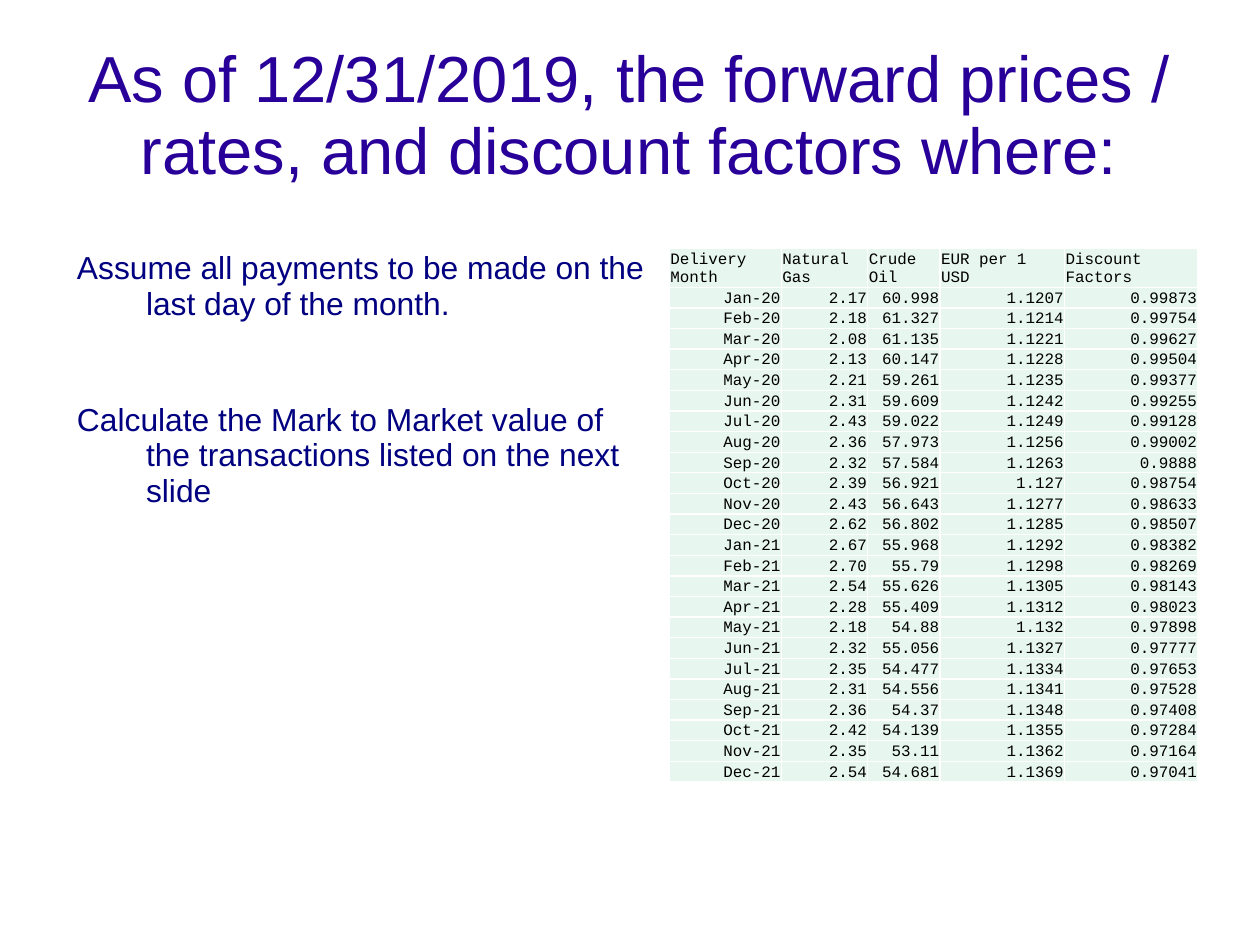
from dataclasses import dataclass

from lxml.etree import SubElement
from pptx import Presentation
from pptx.dml.color import RGBColor as Color
from pptx.enum.text import MSO_ANCHOR as Anchor, PP_ALIGN as Align
from pptx.oxml.ns import qn
from pptx.util import Pt

TITLE = "As of 12/31/2019, the forward prices / rates, and discount factors where:"
NOTES = [
    "Assume all payments to be made on the last day of the month.",
    "Calculate the Mark to Market value of the transactions listed on the next slide",
]
HEADINGS = ["Delivery Month", "Natural Gas", "Crude Oil", "EUR per 1 USD", "Discount Factors"]
FORWARDS = [
    ("Jan-20", "2.17", "60.998", "1.1207", "0.99873"),
    ("Feb-20", "2.18", "61.327", "1.1214", "0.99754"),
    ("Mar-20", "2.08", "61.135", "1.1221", "0.99627"),
    ("Apr-20", "2.13", "60.147", "1.1228", "0.99504"),
    ("May-20", "2.21", "59.261", "1.1235", "0.99377"),
    ("Jun-20", "2.31", "59.609", "1.1242", "0.99255"),
    ("Jul-20", "2.43", "59.022", "1.1249", "0.99128"),
    ("Aug-20", "2.36", "57.973", "1.1256", "0.99002"),
    ("Sep-20", "2.32", "57.584", "1.1263", "0.9888"),
    ("Oct-20", "2.39", "56.921", "1.127", "0.98754"),
    ("Nov-20", "2.43", "56.643", "1.1277", "0.98633"),
    ("Dec-20", "2.62", "56.802", "1.1285", "0.98507"),
    ("Jan-21", "2.67", "55.968", "1.1292", "0.98382"),
    ("Feb-21", "2.70", "55.79", "1.1298", "0.98269"),
    ("Mar-21", "2.54", "55.626", "1.1305", "0.98143"),
    ("Apr-21", "2.28", "55.409", "1.1312", "0.98023"),
    ("May-21", "2.18", "54.88", "1.132", "0.97898"),
    ("Jun-21", "2.32", "55.056", "1.1327", "0.97777"),
    ("Jul-21", "2.35", "54.477", "1.1334", "0.97653"),
    ("Aug-21", "2.31", "54.556", "1.1341", "0.97528"),
    ("Sep-21", "2.36", "54.37", "1.1348", "0.97408"),
    ("Oct-21", "2.42", "54.139", "1.1355", "0.97284"),
    ("Nov-21", "2.35", "53.11", "1.1362", "0.97164"),
    ("Dec-21", "2.54", "54.681", "1.1369", "0.97041"),
]
COLUMN_WIDTHS = [70.5, 54.5, 45.5, 78.5, 84]
ROW_HEIGHT = 13


@dataclass(frozen=True)
class Style:
    """Font, size and colour of one kind of text."""
    font: str
    size: float
    color: str


@dataclass(frozen=True)
class Theme:
    """Colours and type sizes of the slide."""
    title: Style = Style("Arial", 41, "280099")
    note: Style = Style("Arial", 20, "000080")
    cell: Style = Style("Courier New", 10, "000000")
    cell_fill: str = "E7F6EF"
    border: str = "FFFFFF"
    border_width: float = 1
    line_spacing: float = 0.93


THEME = Theme()


def add_span(para, text, style):
    """Add one styled run to a paragraph."""
    span = para.add_run()
    span.text = text
    span.font.name = style.font
    span.font.size = Pt(style.size)
    span.font.color.rgb = Color.from_string(style.color)


def add_box(page, left, top, width, height, texts, style, anchor, align, inset_top=0):
    """Add a wrapping text box and return its paragraphs."""
    box = page.shapes.add_textbox(Pt(left), Pt(top), Pt(width), Pt(height))
    frame = box.text_frame
    frame.word_wrap = True
    frame.vertical_anchor = anchor
    frame.margin_left = frame.margin_right = frame.margin_bottom = Pt(0)
    frame.margin_top = Pt(inset_top)
    for index, text in enumerate(texts):
        para = frame.add_paragraph() if index else frame.paragraphs[0]
        para.alignment = align
        para.line_spacing = THEME.line_spacing
        add_span(para, text, style)
    return frame.paragraphs


def hang_indent(para, left, first):
    """Give a paragraph a left margin and a first-line offset."""
    properties = para._p.get_or_add_pPr()
    properties.set("marL", str(Pt(left)))
    properties.set("indent", str(Pt(first)))


def add_borders(cell):
    """Draw a line on all four sides of a cell."""
    properties = cell._tc.get_or_add_tcPr()
    for side in ("lnL", "lnR", "lnT", "lnB"):
        line = SubElement(properties, qn(f"a:{side}"), w=str(Pt(THEME.border_width)))
        fill = SubElement(line, qn("a:solidFill"))
        SubElement(fill, qn("a:srgbClr"), val=THEME.border)


def fill_cell(cell, text, align):
    """Write and style one table cell."""
    cell.margin_left = cell.margin_right = Pt(0.7)
    cell.margin_top = Pt(0.4)
    cell.margin_bottom = Pt(0)
    cell.vertical_anchor = Anchor.BOTTOM
    add_borders(cell)
    cell.fill.solid()
    cell.fill.fore_color.rgb = Color.from_string(THEME.cell_fill)
    para = cell.text_frame.paragraphs[0]
    para.alignment = align
    add_span(para, text, THEME.cell)


def add_forward_table(page, left, top):
    """Add the table of forward prices, rates and discount factors."""
    rows = [HEADINGS, *FORWARDS]
    table = page.shapes.add_table(
        len(rows), len(HEADINGS), Pt(left), Pt(top),
        Pt(sum(COLUMN_WIDTHS)), Pt(ROW_HEIGHT * len(rows))).table
    table.horz_banding = False
    for column, width in zip(table.columns, COLUMN_WIDTHS):
        column.width = Pt(width)
    for row_index, values in enumerate(rows):
        table.rows[row_index].height = Pt(ROW_HEIGHT)
        align = Align.RIGHT if row_index else Align.LEFT
        for column_index, text in enumerate(values):
            fill_cell(table.cell(row_index, column_index), text, align)


def main():
    """Build the slide and save the deck."""
    deck = Presentation()
    deck.slide_width, deck.slide_height = Pt(793.75), Pt(595.25)
    page = deck.slides.add_slide(deck.slide_layouts[6])
    add_box(page, 39.6, 23.8, 714.2, 99.4, [TITLE], THEME.title, Anchor.MIDDLE, Align.CENTER)
    notes = add_box(page, 48, 156.4, 360.7, 326.2, NOTES, THEME.note,
                    Anchor.TOP, Align.LEFT, inset_top=2)
    for para in notes:
        hang_indent(para, 44, -43.5)
    notes[0].space_after = Pt(50.8)
    add_forward_table(page, 421.7, 156.5)
    deck.save("out.pptx")


main()
